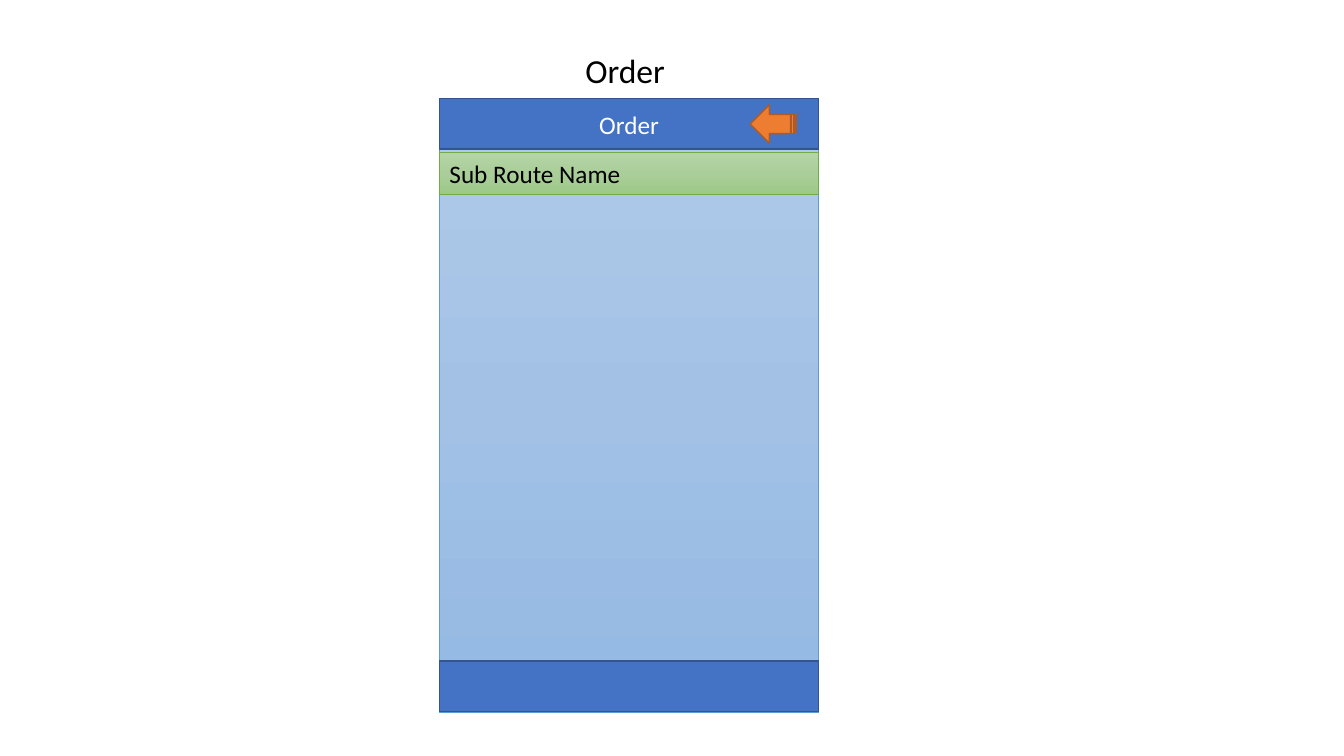
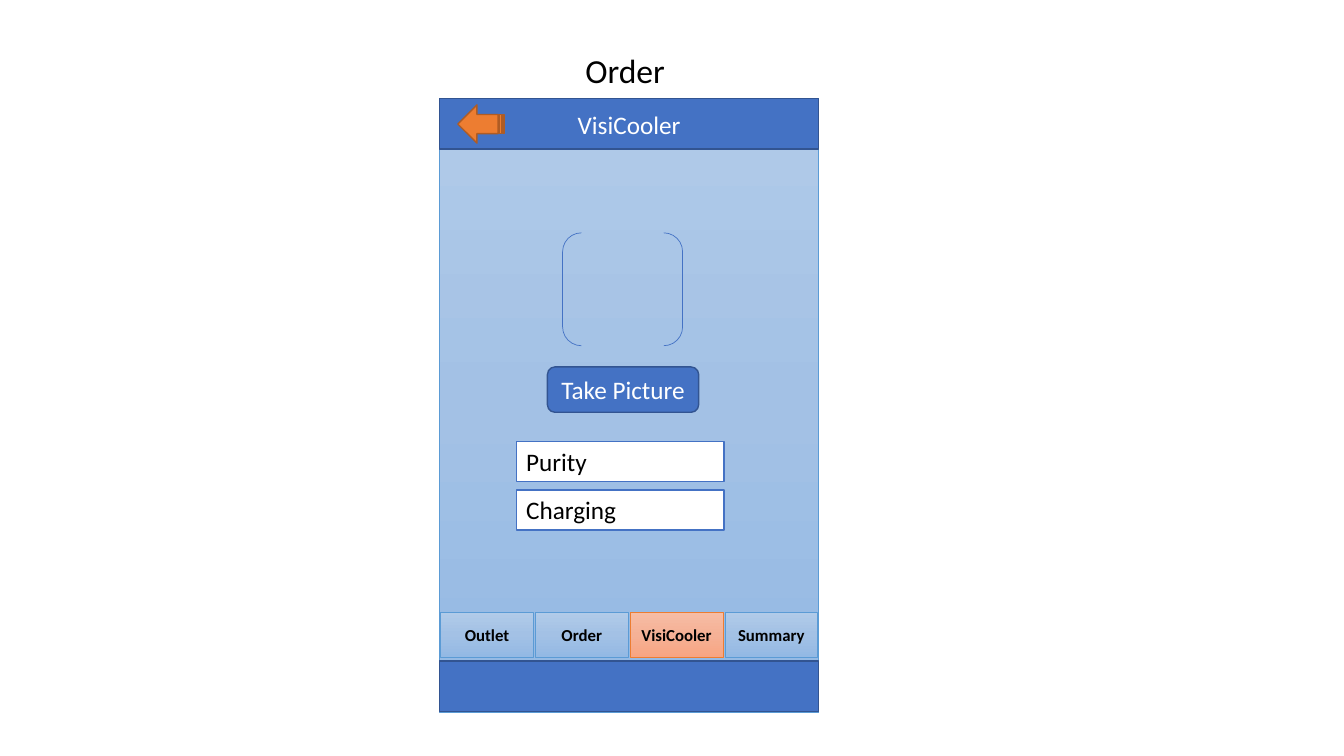
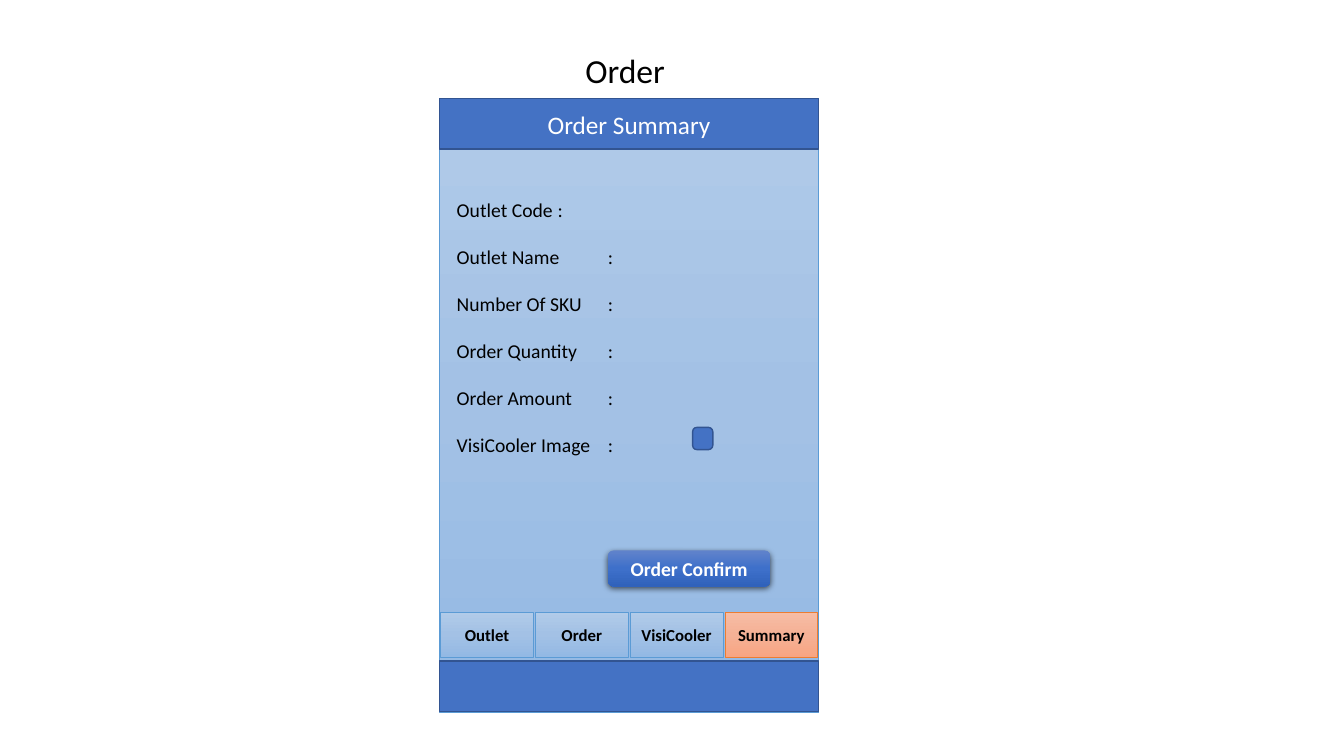
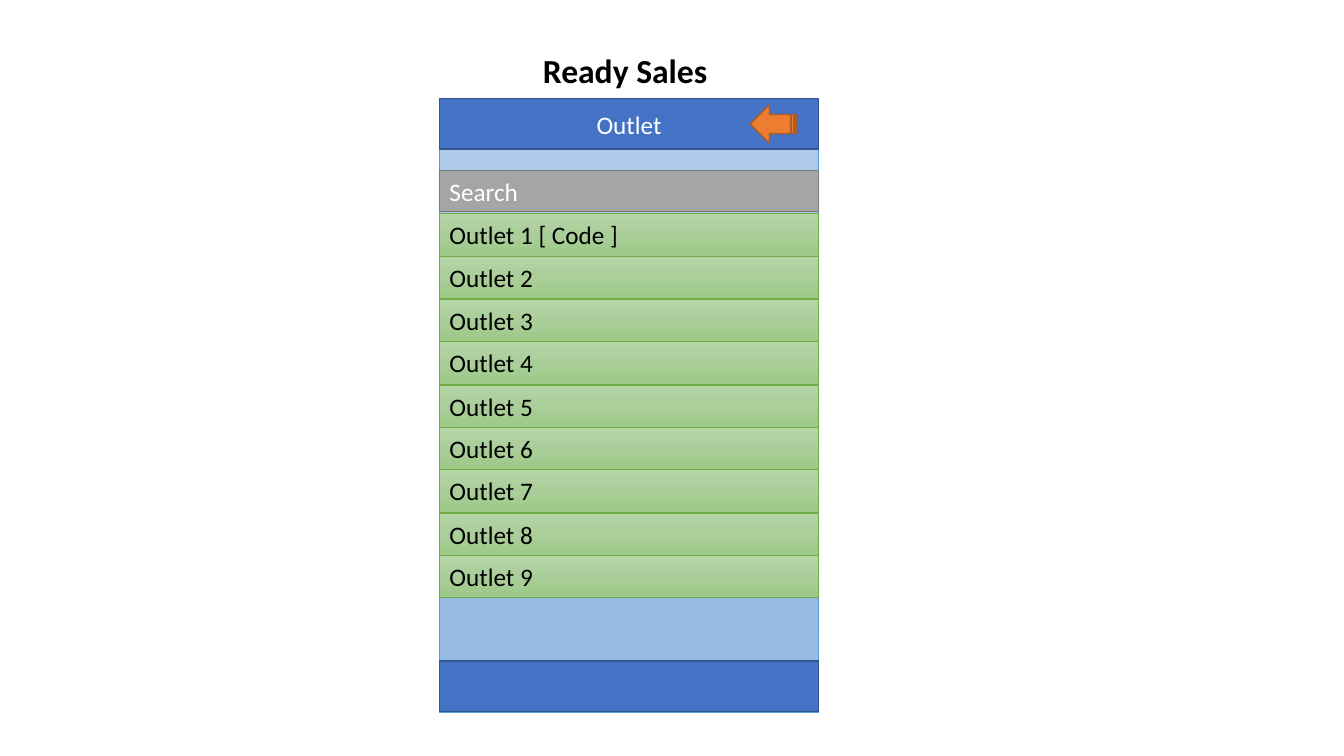
from copy import deepcopy

from lxml.etree import SubElement
from pptx import Presentation
from pptx.dml.color import RGBColor
from pptx.enum.shapes import MSO_SHAPE as Geometry
from pptx.enum.text import MSO_ANCHOR as Anchor, MSO_AUTO_SIZE as AutoSize, PP_ALIGN as Align
from pptx.oxml.ns import qn
from pptx.util import Pt

PX = 9144  # EMU; 100 px make one inch
TITLE_ONLY, TITLE_AND_BODY = 5, 1

WHITE, BLACK = "FFFFFF", "000000"
BLUE, BLUE_EDGE = "4472C4", "325491"
ORANGE, ORANGE_EDGE = "ED7D31", "AF5C24"
GREY, GREY_EDGE = "A5A5A5", "7A7A7A"
SKY, SKY_EDGE = ("B1CBE9", "A3C1E5", "93B9E4"), "5B9BD5"
GREEN, GREEN_EDGE = ("B5D5A7", "AACE9A", "9CC987"), "70AD47"
PEACH = ("F7BDA5", "F5B196", "F8A582")
DEEP_BLUE = ("6183CB", "3E70CA", "3062BB")

PHONE_LEFT, PHONE_WIDTH = 436, 376
BACK_LEFT, BACK_RIGHT = 454, 744
TABS = ("Outlet", "Order", "VisiCooler", "Summary")
TAB_PITCH = 94
ROW_HEIGHT, ROW_PITCH = 42, 42.4
FIELDS = ("Outlet Code", "Outlet Name", "Number Of SKU",
          "Order Quantity", "Order Amount", "VisiCooler Image")


def rgb(color):
    return RGBColor.from_string(color)


def place(shape, left, top, width, height):
    shape.left, shape.top = left * PX, top * PX
    shape.width, shape.height = width * PX, height * PX


def write(frame, text, size=18, color=BLACK, bold=False, align=Align.LEFT,
          anchor=Anchor.MIDDLE, spacing=1.0):
    """Fill a text frame, one paragraph for each line of text."""
    frame.word_wrap = True
    frame.auto_size = AutoSize.NONE
    frame.vertical_anchor = anchor
    frame.text = text
    for paragraph in frame.paragraphs:
        paragraph.alignment = align
        paragraph.line_spacing = spacing
        paragraph.space_before = Pt(0)
        for run in paragraph.runs:
            font = run.font
            font.name, font.size, font.bold = "Calibri", Pt(size), bold
            font.color.rgb = rgb(color)


def fill_gradient(shape, colors):
    """Run the colours evenly from top to bottom."""
    shape.fill.gradient()
    shape.fill.gradient_angle = 270
    stop_list = shape.element.find(".//" + qn("a:gsLst"))
    while len(stop_list) < len(colors):
        stop_list.append(deepcopy(stop_list[0]))
    for index, (stop, color) in enumerate(zip(shape.fill.gradient_stops, colors)):
        stop.position = index / (len(colors) - 1)
        stop.color.rgb = rgb(color)


def cast_shadow(shape):
    effects = shape.element.find(".//" + qn("a:effectLst"))
    shadow = SubElement(effects, qn("a:outerShdw"), blurRad=str(Pt(4.5)),
                        dist=str(Pt(1.5)), dir="5400000", rotWithShape="0")
    shade = SubElement(shadow, qn("a:srgbClr"), val=BLACK)
    SubElement(shade, qn("a:alpha"), val="63000")


class Wireframe:
    """Phone screens, one on each slide."""

    def __init__(self):
        self.deck = Presentation()
        self.deck.slide_width, self.deck.slide_height = 1333 * PX, 750 * PX
        self.slide = None

    def shape(self, geometry, box, fill=None, edge=None, weight=1, text="", **text_format):
        shape = self.slide.shapes.add_shape(geometry, 0, 0, 0, 0)
        place(shape, *box)
        shape.shadow.inherit = False
        if fill is None:
            shape.fill.background()
        elif isinstance(fill, tuple):
            fill_gradient(shape, fill)
        else:
            shape.fill.solid()
            shape.fill.fore_color.rgb = rgb(fill)
        if edge:
            shape.line.color.rgb = rgb(edge)
            shape.line.width = Pt(weight)
        else:
            shape.line.fill.background()
        if text:
            write(shape.text_frame, text, **text_format)
        return shape

    def band(self, top, height, fill, edge, weight=1, text="", **text_format):
        """Rectangle over the full width of the phone."""
        self.shape(Geometry.RECTANGLE, (PHONE_LEFT, top, PHONE_WIDTH, height),
                   fill, edge, weight, text, **text_format)

    def screen(self, title, header, layout=TITLE_ONLY, bold=False):
        """Start a slide with its title and an empty phone."""
        self.slide = self.deck.slides.add_slide(self.deck.slide_layouts[layout])
        heading = self.slide.shapes.title
        place(heading, 520, 44, 200, 50)
        write(heading.text_frame, title, size=24, bold=bold,
              align=Align.CENTER, anchor=Anchor.TOP)
        self.band(98, 609, SKY, SKY_EDGE, 0.5)
        self.band(98, 50, BLUE, BLUE_EDGE, text=header, color=WHITE, align=Align.CENTER)
        self.band(656, 50, BLUE, BLUE_EDGE)

    def row(self, top, text):
        self.band(top, ROW_HEIGHT, GREEN, GREEN_EDGE, 0.5, text)

    def back_arrow(self, left):
        arrow = self.shape(Geometry.STRIPED_RIGHT_ARROW, (left, 104, 46, 38),
                           ORANGE, ORANGE_EDGE)
        arrow.rotation = 180

    def tab_bar(self, active):
        for index, name in enumerate(TABS):
            fill, edge = (PEACH, ORANGE) if name == active else (SKY, SKY_EDGE)
            self.shape(Geometry.RECTANGLE, (437 + index * TAB_PITCH, 607, 92, 45),
                       fill, edge, 0.5, name, size=12, bold=True, align=Align.CENTER)

    def input_box(self, top, text):
        self.shape(Geometry.RECTANGLE, (512, top, 206, 40), WHITE, BLUE, 1, text,
                   anchor=Anchor.TOP)

    def field_list(self, names):
        """Put names and tab-aligned colons in the body, above the phone."""
        body = self.slide.placeholders[1]
        body.element.getparent().append(body.element)
        place(body, 443, 168, 354, 286)
        write(body.text_frame, "\n".join(f"{name}\t:" for name in names),
              size=14, anchor=Anchor.TOP, spacing=2.0)
        for properties in body.element.iter(qn("a:pPr")):
            properties.set("marL", "0")
            properties.set("indent", "0")
            SubElement(properties, qn("a:buNone"))
            tabs = SubElement(properties, qn("a:tabLst"))
            SubElement(tabs, qn("a:tab"), pos=str(200 * PX), algn="l")


def main():
    app = Wireframe()

    app.screen("Order", "Order")
    app.row(151, "Sub Route Name")
    app.back_arrow(BACK_RIGHT)

    app.screen("Order", "VisiCooler")
    app.tab_bar("VisiCooler")
    app.shape(Geometry.DOUBLE_BRACKET, (558, 231, 119, 112), edge=BLUE, weight=0.5)
    app.shape(Geometry.ROUNDED_RECTANGLE, (543, 364, 150, 45), BLUE, BLUE_EDGE,
              text="Take Picture", color=WHITE, align=Align.CENTER)
    app.input_box(438, "Purity")
    app.input_box(486, "Charging")
    app.back_arrow(BACK_LEFT)

    app.screen("Order", "Order Summary", layout=TITLE_AND_BODY)
    app.tab_bar("Summary")
    app.field_list(FIELDS)
    thumbnail = app.shape(Geometry.ROUNDED_RECTANGLE, (687, 424, 20, 22), BLUE, BLUE_EDGE)
    thumbnail.adjustments[0] = 0.21
    confirm = app.shape(Geometry.ROUNDED_RECTANGLE, (603, 546, 161, 36), DEEP_BLUE,
                        text="Order Confirm", size=14, color=WHITE, bold=True,
                        align=Align.CENTER)
    cast_shadow(confirm)

    app.screen("Ready Sales", "Outlet", bold=True)
    for index in range(9):
        code = " [ Code ]" if index == 0 else ""
        app.row(round(212 + index * ROW_PITCH), f"Outlet {index + 1}{code}")
    app.band(169, 41, GREY, GREY_EDGE, text="Search", color=WHITE)
    app.back_arrow(BACK_RIGHT)

    app.deck.save("out.pptx")


if __name__ == "__main__":
    main()
